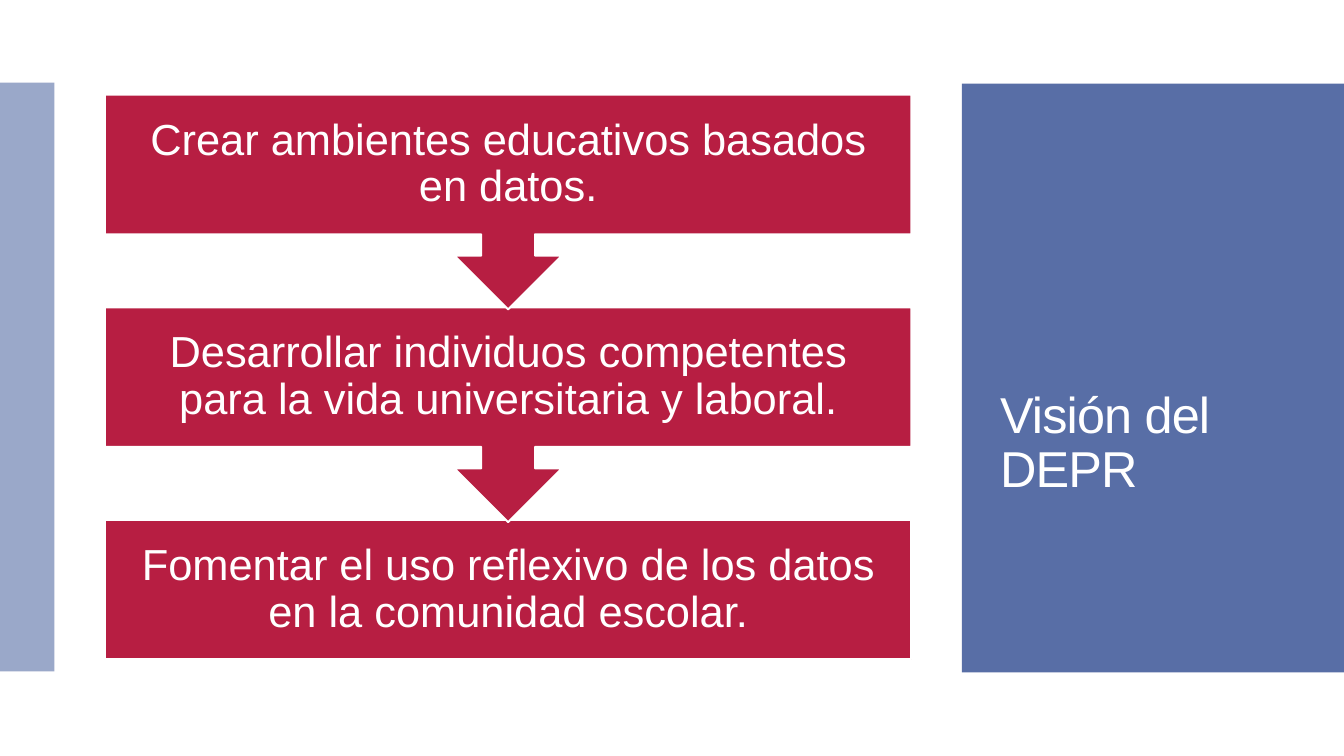
from pptx import Presentation
from pptx.dml.color import RGBColor
from pptx.enum.shapes import MSO_SHAPE
from pptx.enum.text import MSO_ANCHOR, PP_ALIGN
from pptx.oxml.ns import qn
from pptx.util import Emu, Pt

RECTANGLE = MSO_SHAPE.RECTANGLE
ARROW_BOX = MSO_SHAPE.DOWN_ARROW_CALLOUT
MIDDLE = MSO_ANCHOR.MIDDLE
LEFT, CENTER = PP_ALIGN.LEFT, PP_ALIGN.CENTER

BLUE = RGBColor(0x58, 0x6E, 0xA6)
RED = RGBColor(0xB7, 0x1E, 0x42)
WHITE = RGBColor(0xFF, 0xFF, 0xFF)

EMU_PER_PX = 9144  # 100 px to the inch

GOALS = [
    "Crear ambientes educativos basados en datos.",
    "Desarrollar individuos competentes para la vida universitaria y laboral.",
    "Fomentar el uso reflexivo de los datos en la comunidad escolar.",
]
GOAL_LEFT, GOAL_TOP, GOAL_WIDTH = 104, 94, 800
GOAL_HEIGHT, ARROW_BOX_HEIGHT, GOAL_PITCH = 138, 213, 211


def px(length):
    return Emu(length * EMU_PER_PX)


class SlideBuilder:
    font = "Arial"
    line_spacing = 0.9

    def __init__(self, slide):
        self.slide = slide

    def set_text(self, frame, text, size, align, inset_x, inset_y):
        frame.word_wrap = True
        frame.vertical_anchor = MIDDLE
        frame.margin_left = frame.margin_right = px(inset_x)
        frame.margin_top = frame.margin_bottom = px(inset_y)
        frame.text = text
        paragraph = frame.paragraphs[0]
        paragraph.alignment = align
        paragraph.line_spacing = self.line_spacing
        run = paragraph.runs[0]
        run.font.name = self.font
        run.font.size = Pt(size)
        run.font.color.rgb = WHITE
        return run

    def block(self, kind, left, top, width, height, fill):
        shape = self.slide.shapes.add_shape(
            kind, px(left), px(top), px(width), px(height))
        shape.shadow.inherit = False
        shape.fill.solid()
        shape.fill.fore_color.rgb = fill
        shape.line.fill.background()
        return shape

    def band(self, left, top, width, height, opacity=100):
        """Blue side band; opacity is in percent."""
        band = self.block(RECTANGLE, left, top, width, height, BLUE)
        if opacity < 100:
            color = band.element.spPr.find(qn("a:solidFill"))[0]
            alpha = color.makeelement(qn("a:alpha"), {"val": str(opacity * 1000)})
            color.append(alpha)

    def goal(self, kind, top, height, text):
        goal = self.block(kind, GOAL_LEFT, top, GOAL_WIDTH, height, RED)
        goal.line.color.rgb = WHITE
        goal.line.width = Pt(1.35)
        self.set_text(goal.text_frame, text, 31, CENTER, 24, 24)

    def title(self, left, top, width, height, text):
        title = self.slide.shapes.add_textbox(
            px(left), px(top), px(width), px(height))
        run = self.set_text(title.text_frame, text, 36, LEFT, 10, 5)
        run.font._element.set("spc", "-60")


def main():
    presentation = Presentation()
    presentation.slide_width = px(1333)
    presentation.slide_height = px(750)
    blank = presentation.slide_layouts[6]
    builder = SlideBuilder(presentation.slides.add_slide(blank))

    builder.band(954, 83, 379, 584)
    builder.band(0, 82, 54, 584, opacity=60)
    builder.title(982, 256, 322, 369, "Visión del DEPR")

    # Bottom goal first, so that each arrow tip lies over the box below it.
    last = len(GOALS) - 1
    for index in range(last, -1, -1):
        top = GOAL_TOP + index * GOAL_PITCH
        if index == last:
            builder.goal(RECTANGLE, top, GOAL_HEIGHT, GOALS[index])
        else:
            builder.goal(ARROW_BOX, top, ARROW_BOX_HEIGHT, GOALS[index])

    presentation.save("out.pptx")


if __name__ == "__main__":
    main()
